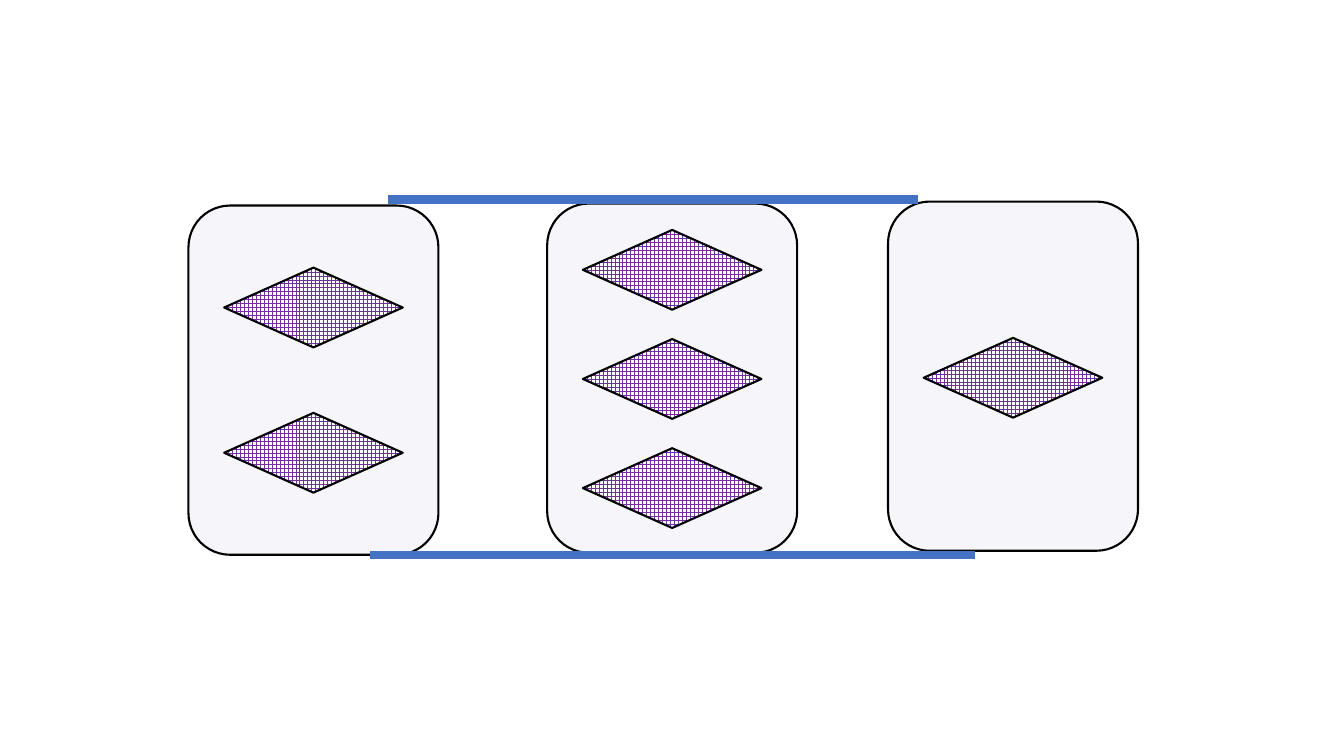
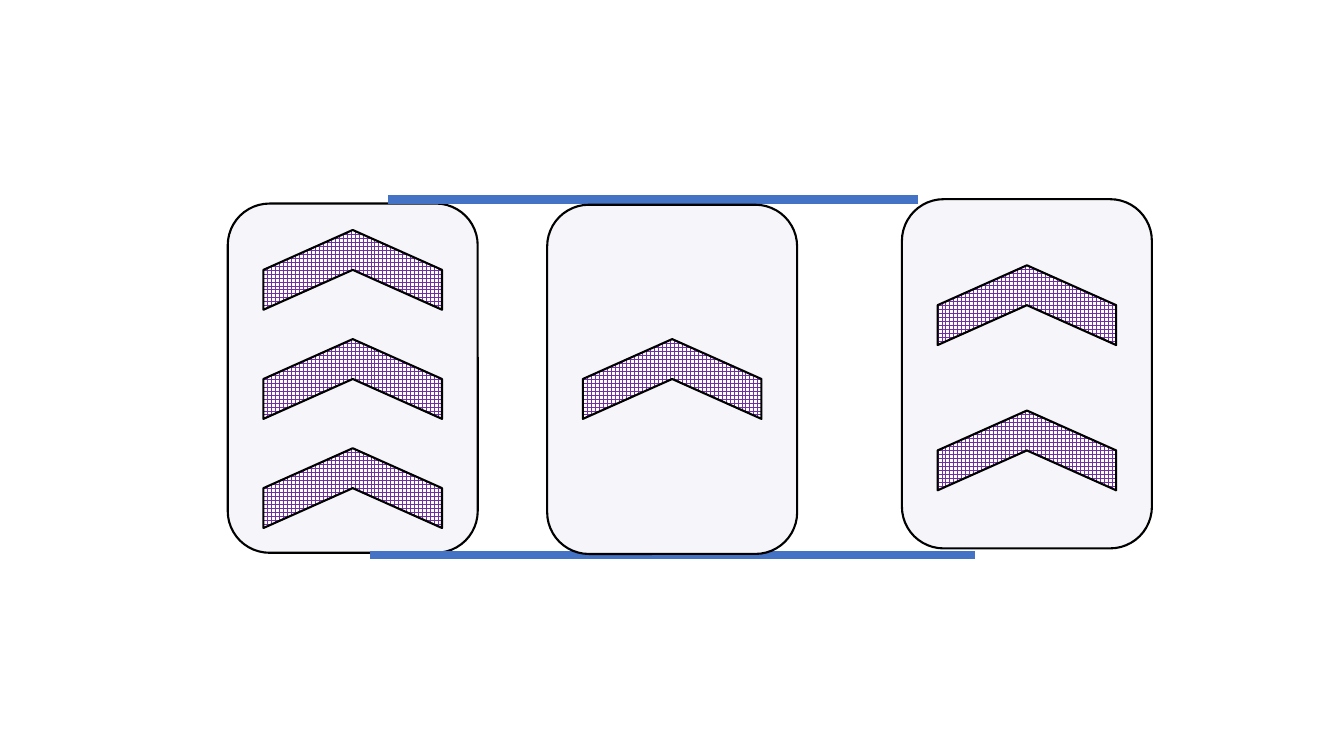
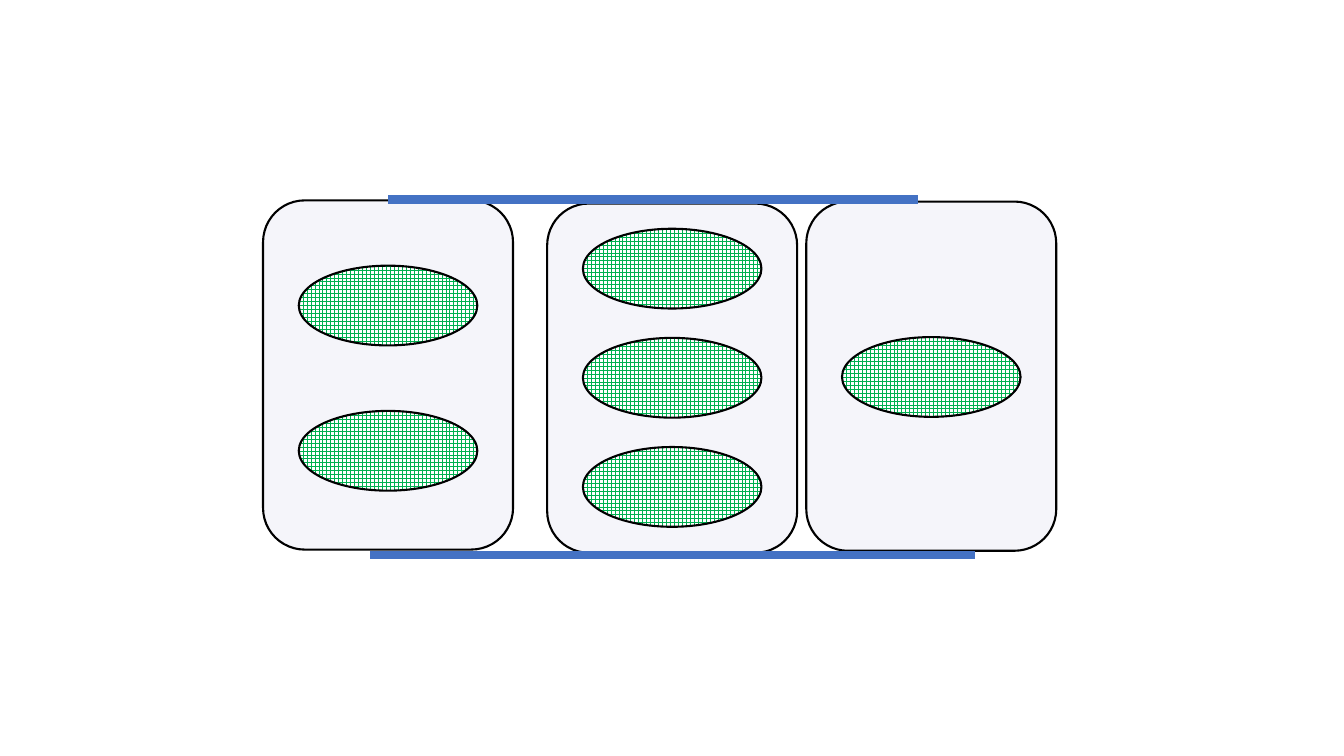
from dataclasses import dataclass

from lxml.etree import SubElement
from pptx import Presentation
from pptx.dml.color import RGBColor
from pptx.enum.dml import MSO_PATTERN
from pptx.enum.shapes import MSO_CONNECTOR, MSO_SHAPE
from pptx.oxml.ns import qn
from pptx.util import Cm, Pt


@dataclass(frozen=True)
class Theme:
    card: RGBColor = RGBColor(0xF5, 0xF5, 0xFA)
    outline: RGBColor = RGBColor(0, 0, 0)
    rail: RGBColor = RGBColor(0x44, 0x72, 0xC4)
    paper: RGBColor = RGBColor(0xFF, 0xFF, 0xFF)
    purple: RGBColor = RGBColor(0x70, 0x30, 0xA0)
    green: RGBColor = RGBColor(0x00, 0xB0, 0x50)
    outline_width: Pt = Pt(1.5)
    rail_width: Pt = Pt(6)


THEME = Theme()

# All lengths below are centimetres.
CARD_WIDTH, CARD_HEIGHT = 6.3, 8.8
SYMBOL_WIDTH, SYMBOL_HEIGHT = 4.5, 2.01
PITCH = {1: 0, 2: 3.66, 3: 2.75}  # between symbol centres, by number of symbols
RAILS = [(9.33, 24.57, 13.99), (9.79, 23.13, 5.03)]  # start, end, height on slide

# Symbol, its turn in degrees, grid colour, and the cards from left to right:
# left, top, number of symbols, middle of the symbols, whether it covers the rails
PUZZLES = [
    (MSO_SHAPE.FLOWCHART_DECISION, 0, THEME.purple, [
        (4.75, 5.18, 2, 9.58, False),
        (13.79, 5.13, 3, 9.55, False),
        (22.38, 5.08, 1, 9.52, False),
    ]),
    (MSO_SHAPE.CHEVRON, 270, THEME.purple, [
        (5.74, 5.13, 3, 9.55, False),
        (13.79, 5.16, 1, 9.55, True),
        (22.73, 5.02, 2, 9.52, False),
    ]),
    (MSO_SHAPE.OVAL, 0, THEME.green, [
        (6.63, 5.05, 2, 9.53, False),
        (13.79, 5.13, 3, 9.52, False),
        (20.32, 5.08, 1, 9.5, False),
    ]),
]


def add_outlined(shapes, kind, center, size, rotation=0):
    """Add a black-outlined shape around its centre; size is before rotation."""
    (x, y), (width, height) = center, size
    shape = shapes.add_shape(kind, Cm(x - width / 2), Cm(y - height / 2),
                             Cm(width), Cm(height))
    shape.rotation = rotation
    shape.shadow.inherit = False
    shape.line.color.rgb = THEME.outline
    shape.line.width = THEME.outline_width
    return shape


def add_cards(slide, cards):
    for left, top, *_ in cards:
        center = left + CARD_WIDTH / 2, top + CARD_HEIGHT / 2
        card = add_outlined(slide.shapes, MSO_SHAPE.ROUNDED_RECTANGLE, center,
                            (CARD_WIDTH, CARD_HEIGHT))
        card.fill.solid()
        card.fill.fore_color.rgb = THEME.card


deck = Presentation()
deck.slide_width, deck.slide_height = Cm(33.87), Cm(19.05)
blank_layout = deck.slide_layouts[6]

for symbol_kind, turn, grid_color, cards in PUZZLES:
    slide = deck.slides.add_slide(blank_layout)
    add_cards(slide, [card for card in cards if not card[-1]])

    for start, end, y in RAILS:
        rail = slide.shapes.add_connector(MSO_CONNECTOR.STRAIGHT,
                                          Cm(start), Cm(y), Cm(end), Cm(y))
        rail.line.color.rgb = THEME.rail
        rail.line.width = THEME.rail_width
        SubElement(rail._element.spPr, qn("a:effectLst"))

    add_cards(slide, [card for card in cards if card[-1]])

    symbol_size = (SYMBOL_WIDTH, SYMBOL_HEIGHT)
    if turn:
        symbol_size = symbol_size[::-1]
    for left, _, count, middle, _ in cards:
        holder = slide.shapes
        if count > 1:
            holder = slide.shapes.add_group_shape().shapes
        for row in range(count):
            center = (left + CARD_WIDTH / 2,
                      middle + (row - (count - 1) / 2) * PITCH[count])
            symbol = add_outlined(holder, symbol_kind, center, symbol_size, turn)
            symbol.fill.patterned()
            symbol.fill.pattern = MSO_PATTERN.LARGE_GRID
            symbol.fill.fore_color.rgb = grid_color
            symbol.fill.back_color.rgb = THEME.paper

deck.save("out.pptx")
